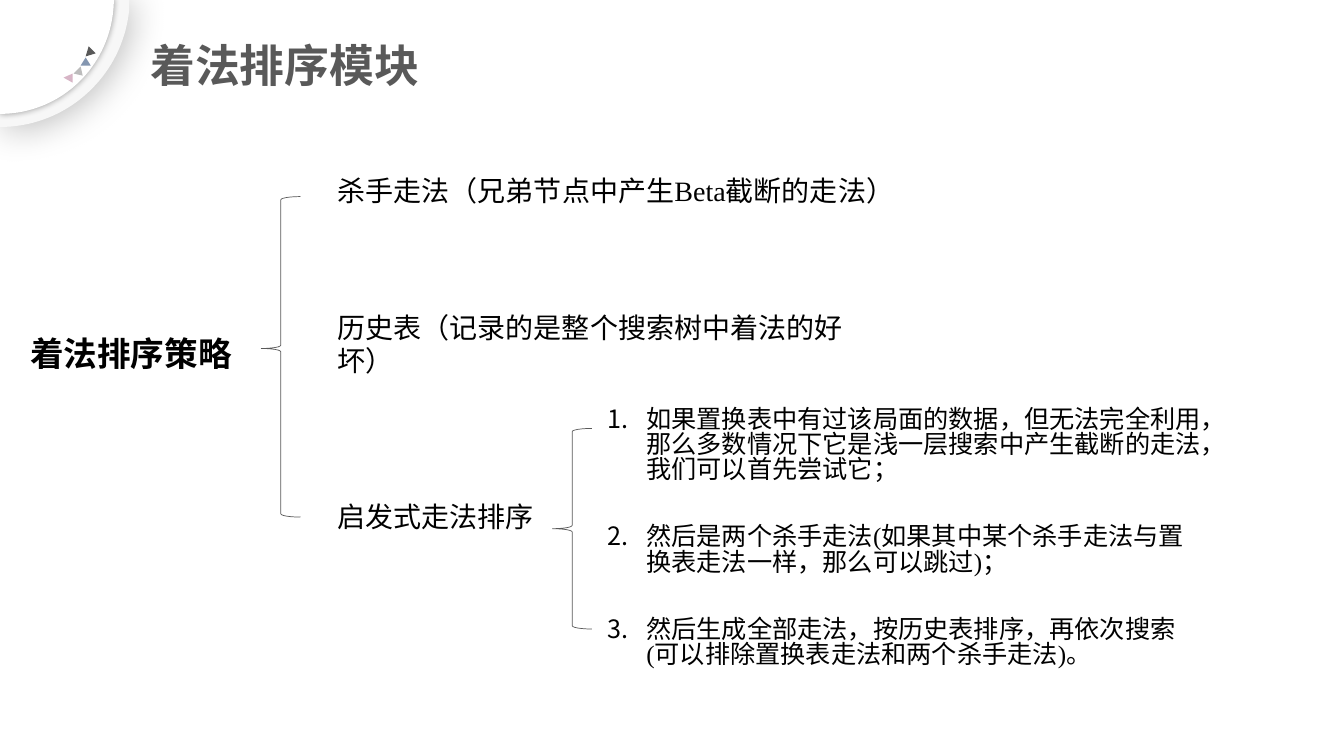
from pptx import Presentation
from pptx.dml.color import RGBColor
from pptx.enum.shapes import MSO_SHAPE as Preset
from pptx.enum.text import MSO_ANCHOR as Anchor, MSO_AUTO_SIZE as AutoSize, PP_ALIGN as Align
from pptx.oxml.ns import qn
from pptx.util import Pt
from lxml.etree import SubElement

BLACK = RGBColor(0, 0, 0)
WHITE = RGBColor(255, 255, 255)
GREY = RGBColor(0x59, 0x59, 0x59)
PALE = RGBColor(0xF7, 0xF7, 0xF7)
BLUE = RGBColor(0x84, 0x96, 0xB0)
SILVER = RGBColor(0xBC, 0xBC, 0xBC)
PINK = RGBColor(0xD7, 0xB5, 0xC6)
SANS = "Noto Sans CJK SC"
SERIF = "Times New Roman"
EMU_PER_PX = 9144  # 100 px to the inch


def emu(*lengths):
    return [round(length * EMU_PER_PX) for length in lengths]


def bezier(start, pull_out, pull_in, end, steps=40):
    """Points along a cubic curve, both ends included."""
    points = []
    for step in range(steps + 1):
        t = step / steps
        u = 1 - t
        weights = u ** 3, 3 * u * u * t, 3 * u * t * t, t ** 3
        points.append(tuple(
            sum(w * p[axis] for w, p in zip(weights, (start, pull_out, pull_in, end)))
            for axis in (0, 1)))
    return points


class Slide:
    def __init__(self, page):
        self.page = page

    def place(self, box, bounds):
        box.left, box.top, box.width, box.height = emu(*bounds)

    def add_span(self, para, text, size, font=SERIF, color=BLACK, bold=False):
        span = para.add_run()
        span.text = text
        span.font.size = Pt(size)
        span.font.bold = bold
        span.font.color.rgb = color
        span.font.name = font
        SubElement(span.font._element, qn("a:ea"), typeface=SANS)

    def title(self, text, bounds):
        box = self.page.shapes.title
        self.place(box, bounds)
        frame = box.text_frame
        frame.vertical_anchor = Anchor.MIDDLE
        frame.auto_size = AutoSize.NONE
        para = frame.paragraphs[0]
        para.alignment = Align.LEFT
        para.line_spacing = 1.2
        self.add_span(para, text, 32, SANS, GREY, True)

    def label(self, text, bounds, size=20, bold=False):
        left, top, width, height = emu(*bounds)
        frame = self.page.shapes.add_textbox(left, top, width, height).text_frame
        frame.word_wrap = True
        frame.auto_size = AutoSize.SHAPE_TO_FIT_TEXT
        self.add_span(frame.paragraphs[0], text, size, bold=bold)

    def numbered_list(self, items, bounds):
        box = self.page.placeholders[1]
        self.place(box, bounds)
        frame = box.text_frame
        frame.vertical_anchor = Anchor.TOP
        frame.auto_size = AutoSize.SHAPE_TO_FIT_TEXT
        indent, = emu(38)
        for index, text in enumerate(items):
            para = frame.add_paragraph() if index else frame.paragraphs[0]
            para.alignment = Align.LEFT
            para.line_spacing = Pt(18)
            para.space_before = Pt(30 if index else 6)
            para.space_after = Pt(0)
            props = para._p.get_or_add_pPr()
            props.set("marL", str(indent))
            props.set("indent", str(-indent))
            SubElement(props, qn("a:buFont"), typeface=SANS)
            SubElement(props, qn("a:buAutoNum"), type="arabicPeriod")
            self.add_span(para, text, 18)

    def brace(self, bounds, tip=0.5):
        shape = self.page.shapes.add_shape(Preset.LEFT_BRACE, *emu(*bounds))
        shape.adjustments[0] = 0.083
        shape.adjustments[1] = tip
        shape.shadow.inherit = False
        shape.fill.background()
        shape.line.color.rgb = GREY
        shape.line.width = Pt(0.5)

    def outline(self, points, color, shadow=None):
        first, *rest = [emu(*point) for point in points]
        builder = self.page.shapes.build_freeform(*first)
        builder.add_line_segments(rest, close=True)
        shape = builder.convert_to_shape()
        shape.shadow.inherit = False
        shape.fill.solid()
        shape.fill.fore_color.rgb = color
        shape.line.fill.background()
        if shadow:
            opacity, blur, distance, angle = shadow
            effects = shape._element.spPr.find(qn("a:effectLst"))
            outer = SubElement(effects, qn("a:outerShdw"), blurRad=str(Pt(blur)),
                               dist=str(Pt(distance)), dir=str(angle * 60000),
                               algn="ctr", rotWithShape="0")
            tint = SubElement(outer, qn("a:srgbClr"), val=str(BLACK))
            SubElement(tint, qn("a:alpha"), val=str(opacity * 1000))


def main():
    deck = Presentation()
    deck.slide_width, deck.slide_height = emu(1333, 750)
    slide = Slide(deck.slides.add_slide(deck.slide_layouts[1]))

    # Corner ornament: two discs and four small triangles
    slide.outline([(0, -1), (128, -1)] + bezier((128, 11), (121, 76), (66, 126), (0, 126)),
                  PALE, (25, 26, 3, 45))
    slide.outline([(0, -1)] + bezier((113, -1), (113, 62), (63, 113), (0, 113)),
                  WHITE, (40, 5, 0, 0))
    for color, corners in (
            (GREY, [(95, 53), (85, 56), (88, 46)]),
            (BLUE, [(90, 65), (80, 65), (85, 57)]),
            (SILVER, [(82, 75), (73, 73), (80, 66)]),
            (PINK, [(72, 82), (63, 77), (72, 73)])):
        slide.outline(corners, color)

    slide.title("着法排序模块", (139, 30, 1069, 57))

    # Strategy and its three branches
    slide.label("着法排序策略", (20, 325, 239, 50), 24, True)
    slide.brace((259, 195, 39, 318), 0.474)
    for text, top, width in (
            ("杀手走法（兄弟节点中产生Beta截断的走法）", 167, 575),
            ("历史表（记录的是整个搜索树中着法的好坏）", 303, 566),
            ("启发式走法排序", 491, 329)):
        slide.label(text, (325, top, width, 44))

    # Steps of the heuristic ordering
    slide.brace((548, 425, 39, 199))
    slide.numbered_list([
        "如果置换表中有过该局面的数据，但无法完全利用，那么多数情况下它是浅一层搜索中产生截断的走法，我们可以首先尝试它；",
        "然后是两个杀手走法(如果其中某个杀手走法与置换表走法一样，那么可以跳过)；",
        "然后生成全部走法，按历史表排序，再依次搜索(可以排除置换表走法和两个杀手走法)。",
    ], (593, 400, 613, 271))

    deck.save("out.pptx")


if __name__ == "__main__":
    main()
